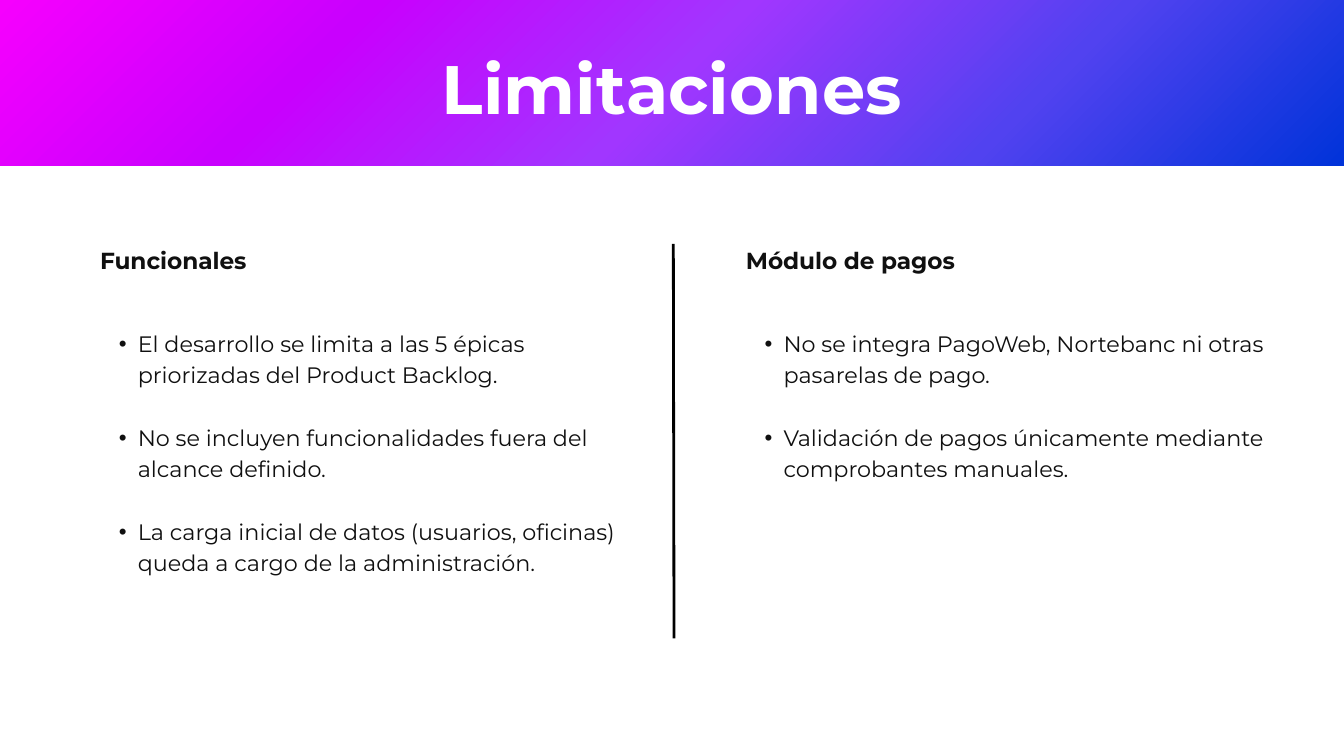
from lxml import etree
from pptx import Presentation, util as u
from pptx.dml.color import RGBColor
from pptx.enum import shapes, text
from pptx.oxml.ns import qn

FONT = "Montserrat"
INK = "101010"
COLUMNS, ROWS = 20, 11.25
CELL = u.Inches(1)
BAND_STOPS = ["0033D9", "5142F0", "A136FF", "C900FE", "F600FE"]
TOPICS = [
    ("Funcionales", [
        "El desarrollo se limita a las 5 épicas priorizadas del Product Backlog.",
        "No se incluyen funcionalidades fuera del alcance definido.",
        "La carga inicial de datos (usuarios, oficinas) queda a cargo de la administración.",
    ]),
    ("Módulo de pagos", [
        "No se integra PagoWeb, Nortebanc ni otras pasarelas de pago.",
        "Validación de pagos únicamente mediante comprobantes manuales.",
    ]),
]


def color(value):
    """Turn a hex string into a colour."""
    return RGBColor.from_string(value)


def cells(*counts):
    """Convert grid cells to lengths."""
    return [u.Emu(round(count * CELL)) for count in counts]


def add_paragraphs(slide, box, lines, size, leading, ink, bold=False, bulleted=False):
    """Place a text box with one paragraph per line of content and return its frame."""
    frame = slide.shapes.add_textbox(*cells(*box)).text_frame
    frame.word_wrap = True
    frame.margin_left = frame.margin_right = frame.margin_top = frame.margin_bottom = 0
    for index, line in enumerate(lines):
        paragraph = frame.add_paragraph() if index else frame.paragraphs[0]
        paragraph.line_spacing = u.Pt(leading)
        if index:
            paragraph.space_before = u.Pt(leading)
        run = paragraph.add_run()
        run.text = line
        run.font.name, run.font.size, run.font.bold = FONT, u.Pt(size), bold
        run.font.color.rgb = color(ink)
        if bulleted:
            add_bullet(paragraph, ink)
    return frame


def add_bullet(paragraph, ink):
    """Give a paragraph a hanging round bullet."""
    paragraph.level = 1
    properties = paragraph._p.get_or_add_pPr()
    indent, hang = cells(0.56, -0.28)
    properties.set("marL", str(indent))
    properties.set("indent", str(hang))
    bullet_color = etree.SubElement(properties, qn("a:buClr"))
    etree.SubElement(bullet_color, qn("a:srgbClr"), val=ink)
    etree.SubElement(properties, qn("a:buFont"), typeface="Arial")
    etree.SubElement(properties, qn("a:buChar"), char="•")


def add_header(slide, box, title):
    """Draw the gradient band with its centred title."""
    left, top, width, height = box
    band = slide.shapes.add_shape(shapes.MSO_SHAPE.RECTANGLE, *cells(*box))
    band.shadow.inherit = False
    band.line.fill.background()
    band.fill.gradient()
    band.fill.gradient_angle = 135
    stops = band.element.spPr.find(qn("a:gradFill")).find(qn("a:gsLst"))
    for stop in list(stops):
        stops.remove(stop)
    for index, value in enumerate(BAND_STOPS):
        stop = etree.SubElement(stops, qn("a:gs"), pos=str(index * 25000))
        etree.SubElement(stop, qn("a:srgbClr"), val=value)
    title_box = (left + width / 4, top + 0.48, width / 2, 1.43)
    frame = add_paragraphs(slide, title_box, [title], 73.4, 102.8, "FFFFFF", bold=True)
    frame.paragraphs[0].alignment = text.PP_ALIGN.CENTER


def add_topic(slide, box, heading, limits):
    """Write a heading and its bulleted limits in one column."""
    left, top, width, height = box
    add_paragraphs(slide, (left, top, width, 0.48), [heading], 24.9, 34.9, INK, bold=True)
    limits_box = (left, top + 1.26, width - 0.09, height - 1.26)
    add_paragraphs(slide, limits_box, limits, 23.9, 33.5, INK, bulleted=True)


def add_divider(slide, box):
    """Draw the rule between the two columns."""
    left, top, width, height = box
    divider = slide.shapes.add_connector(
        shapes.MSO_CONNECTOR.STRAIGHT, *cells(left, top, left + width, top + height))
    divider.line.color.rgb = color("000000")
    divider.line.width = u.Pt(3)
    etree.SubElement(divider.element.spPr, qn("a:effectLst"))


def main():
    """Build the limitations slide."""
    deck = Presentation()
    deck.slide_width, deck.slide_height = cells(COLUMNS, ROWS)
    slide = deck.slides.add_slide(deck.slide_layouts[6])
    add_header(slide, (0, 0, COLUMNS, 2.47), "Limitaciones")
    add_divider(slide, (10.02, 3.63, 0.01, 5.87))
    for index, (heading, limits) in enumerate(TOPICS):
        add_topic(slide, (1.49 + index * 9.61, 3.59, 7.87, 5.44), heading, limits)
    deck.save("out.pptx")


if __name__ == "__main__":
    main()
